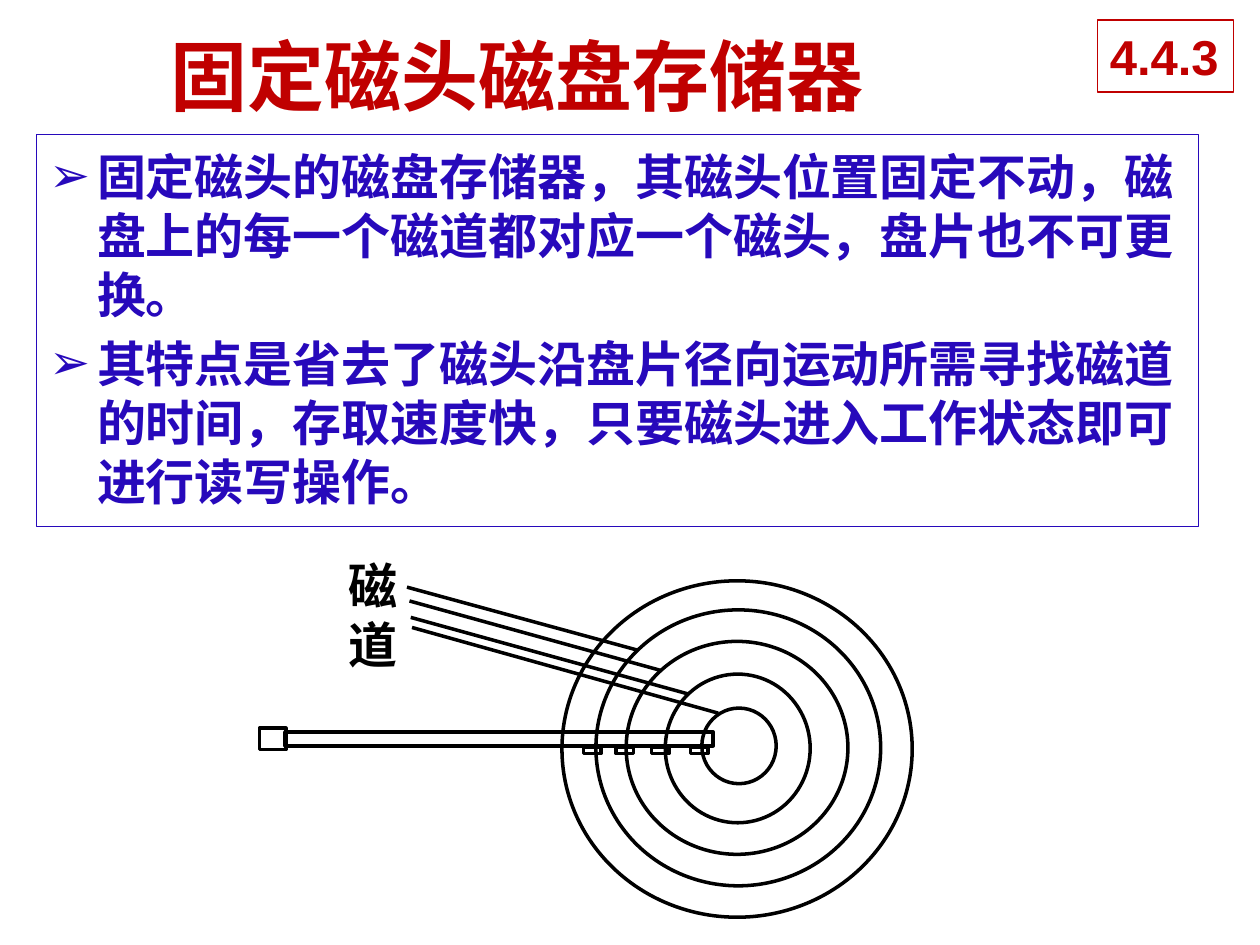
from dataclasses import dataclass

from lxml import etree
from pptx import Presentation
from pptx import util as u
from pptx.dml.color import RGBColor
from pptx.enum import shapes as sh, text as tx
from pptx.oxml.ns import qn

COLS, ROWS = 100, 75
RED, BLUE, BLACK, WHITE = "C00000", "2709BB", "000000", "FFFFFF"
CJK, LATIN = "Noto Sans CJK SC", "Arial"
RECT, OVAL = sh.MSO_SHAPE.RECTANGLE, sh.MSO_SHAPE.OVAL

deck = Presentation()
deck.slide_width, deck.slide_height = u.Inches(10), u.Inches(7.5)
slide = deck.slides.add_slide(deck.slide_layouts[1])


@dataclass
class Box:
    """Area in grid columns and rows."""
    x: float
    y: float
    w: float
    h: float

    def emu(self) -> list[int]:
        """Return left, top, width and height."""
        cw, rh = deck.slide_width / COLS, deck.slide_height / ROWS
        return [round(n) for n in (self.x * cw, self.y * rh, self.w * cw, self.h * rh)]


@dataclass
class Lead:
    """Line from the label to a track."""
    x: float
    y: float
    dx: float
    dy: float


RINGS = [
    Box(44.6, 46.1, 27.8, 26.7), Box(47.3, 48.4, 22.6, 21.9),
    Box(49.7, 50.9, 17.6, 16.9), Box(52.8, 53.5, 11.5, 11.8),
    Box(55.7, 56.2, 5.9, 6),
]
HEADS = [Box(x, 59.3, 1.4, 0.5) for x in (46.3, 48.9, 51.7, 54.8)]
ARM = [Box(22.6, 58.1, 34, 1.1), Box(20.6, 57.8, 2.1, 1.7)]
LEADS = [
    Lead(32.3, 46.6, 18.3, 5), Lead(32.5, 47.7, 19.9, 5.5),
    Lead(32.6, 49, 22.1, 6.1), Lead(32.7, 49.8, 24.3, 6.8),
]
POINTS = [
    "固定磁头的磁盘存储器，其磁头位置固定不动，磁盘上的每一个磁道都对应一个磁头，盘片也不可更换。",
    "其特点是省去了磁头沿盘片径向运动所需寻找磁道的时间，存取速度快，只要磁头进入工作状态即可进行读写操作。",
]


def rgb(hue: str) -> RGBColor:
    """Turn a hex string into a colour."""
    return RGBColor.from_string(hue)


def place(item, box: Box) -> None:
    """Move an item to its area."""
    item.left, item.top, item.width, item.height = box.emu()


def edge(item, hue: str, width: float) -> None:
    """Set the outline."""
    item.line.color.rgb = rgb(hue)
    item.line.width = u.Pt(width)


def paint(item, hue: str) -> None:
    """Set a white fill and a thin outline."""
    item.fill.solid()
    item.fill.fore_color.rgb = rgb(WHITE)
    edge(item, hue, 0.75)


def draw(kind, box: Box):
    """Add a hollow black shape."""
    item = slide.shapes.add_shape(kind, *box.emu())
    item.shadow.inherit = False
    item.fill.background()
    edge(item, BLACK, 2)
    return item


def link(lead: Lead) -> None:
    """Add a straight line without shadow."""
    x, y, dx, dy = Box(lead.x, lead.y, lead.dx, lead.dy).emu()
    line = slide.shapes.add_connector(sh.MSO_CONNECTOR.STRAIGHT, x, y, x + dx, y + dy)
    edge(line, BLACK, 2)
    etree.SubElement(line._element.spPr, qn("a:effectLst"))


def bullet(para, mark: str, hue: str) -> None:
    """Give a paragraph a coloured bullet and hanging indent."""
    props = para._p.get_or_add_pPr()
    gap = u.Inches(0.38)
    props.set("marL", str(gap))
    props.set("indent", str(-gap))
    tint = etree.SubElement(props, qn("a:buClr"))
    etree.SubElement(tint, qn("a:srgbClr")).set("val", hue)
    etree.SubElement(props, qn("a:buFont")).set("typeface", LATIN)
    etree.SubElement(props, qn("a:buChar")).set("char", mark)


def write(item, lines: list[str], face: str, size: float, hue: str,
          mark: str = "", pitch: float = 0, align=tx.PP_ALIGN.LEFT) -> None:
    """Fill a text frame with one bold run per paragraph."""
    frame = item.text_frame
    frame.auto_size = tx.MSO_AUTO_SIZE.NONE
    for i, line in enumerate(lines):
        para = frame.add_paragraph() if i else frame.paragraphs[0]
        if mark:
            bullet(para, mark, hue)
        para.alignment = align
        para.space_before = u.Pt(5.6 if mark and i else 0)
        if pitch:
            para.line_spacing = u.Pt(pitch)
        run = para.add_run()
        run.text = line
        font = run.font
        font.name, font.size, font.bold = face, u.Pt(size), True
        font.color.rgb = rgb(hue)
        etree.SubElement(font._element, qn("a:ea")).set("typeface", CJK)


def main() -> None:
    """Build and save the slide."""
    title, body = slide.placeholders
    place(title, Box(2.4, 1.7, 77.3, 8.4))
    title.text_frame.vertical_anchor = tx.MSO_ANCHOR.MIDDLE
    write(title, ["固定磁头磁盘存储器"], CJK, 44, RED, align=tx.PP_ALIGN.CENTER)

    place(body, Box(2.9, 10.7, 92.2, 31.1))
    paint(body, BLUE)
    body.text_frame.margin_top = u.Inches(0.09)
    write(body, POINTS, CJK, 28, BLUE, mark="➢", pitch=33.7)

    for ring in RINGS:
        draw(OVAL, ring)
    for part in ARM + HEADS:
        draw(RECT, part)
    for lead in LEADS:
        link(lead)

    label = slide.shapes.add_textbox(*Box(26.7, 43.2, 6, 10.4).emu())
    label.text_frame.word_wrap = True
    label.text_frame.margin_top = u.Inches(0.09)
    write(label, ["磁", "道"], LATIN, 28, BLACK, pitch=33.7)

    badge = draw(RECT, Box(87.1, 1.6, 10.8, 5.7))
    paint(badge, RED)
    badge.text_frame.word_wrap = False
    badge.text_frame.vertical_anchor = tx.MSO_ANCHOR.TOP
    write(badge, ["4.4.3"], LATIN, 28, RED)

    deck.save("out.pptx")


if __name__ == "__main__":
    main()
